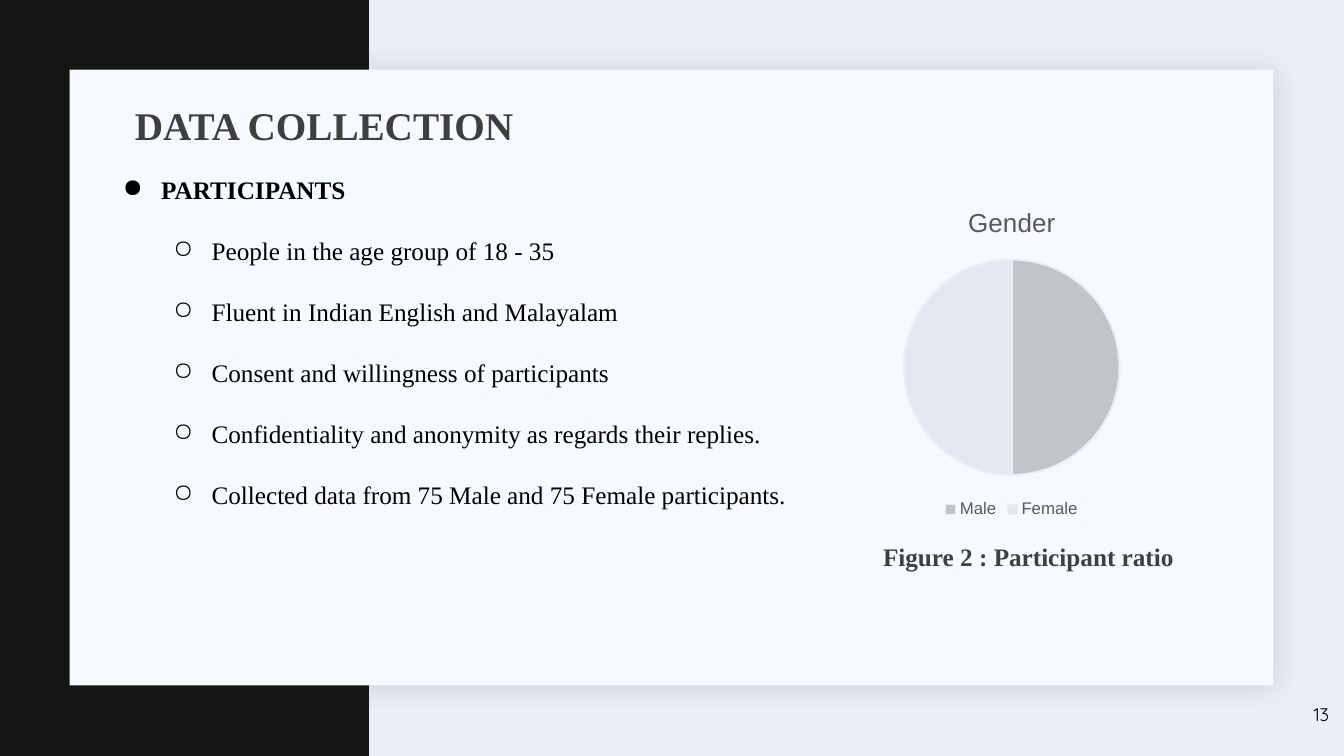
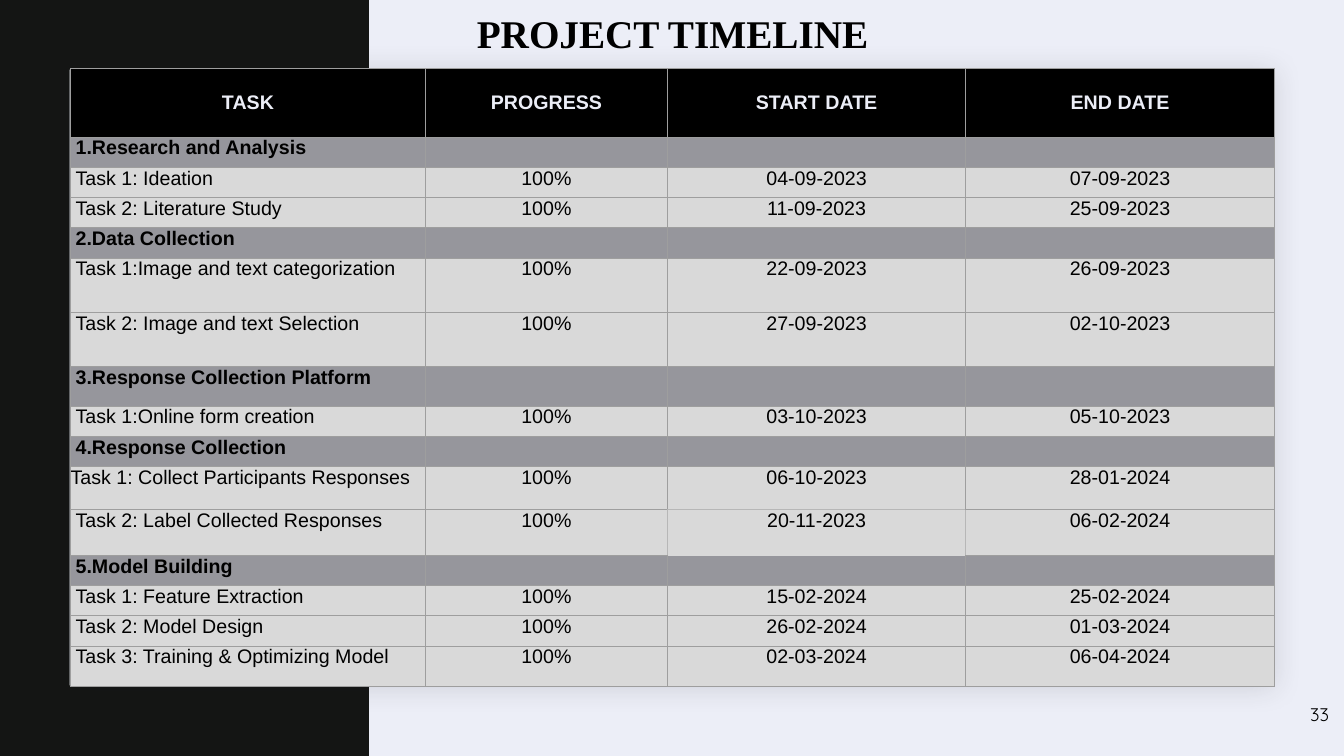
import pptx
import pptx.chart.data
import pptx.dml.color
import pptx.enum.chart
import pptx.enum.shapes
import pptx.enum.text
import pptx.oxml
import pptx.oxml.ns
import pptx.util
from lxml import etree

Inches, Pt = pptx.util.Inches, pptx.util.Pt
ALIGN = pptx.enum.text.PP_ALIGN
ANCHOR = pptx.enum.text.MSO_ANCHOR
NS = pptx.oxml.ns.nsdecls("a")

# Shared look
SERIF, SANS, NUMBER_FONT = "Times New Roman", "Arial", "Quicksand"
BLACK, BAND, PAPER, CARD = "000000", "141514", "ECEEF7", "F6F9FF"
HEADING, CHART_TEXT = "3F3F3F", "595959"
SECTION_FILL, TASK_FILL, GRID = "96969C", "D9D9D9", "9E9E9E"

# Data collection content
TOPIC = "PARTICIPANTS"
POINTS = [
    "People in the age group of 18 - 35",
    "Fluent in Indian English and Malayalam",
    "Consent and willingness of participants",
    "Confidentiality and anonymity as regards their replies.",
    "Collected data from 75 Male and 75 Female participants.",
]
GENDER = [("Male", 50, "C1C4C9"), ("Female", 50, "E5E8EF")]

# Timeline content: row height and cells; a single cell opens a section
COLUMN_WIDTHS = [3.52, 2.4, 2.96, 3.06]
HEADER = ["TASK", "PROGRESS", "START DATE", "END DATE"]
TIMELINE = [
    (0.3, ["1.Research and Analysis"]),
    (0.3, ["Task 1: Ideation", "100%", "04-09-2023", "07-09-2023"]),
    (0.3, ["Task 2: Literature Study", "100%", "11-09-2023", "25-09-2023"]),
    (0.3, ["2.Data Collection"]),
    (0.54, ["Task 1:Image and text categorization", "100%", "22-09-2023", "26-09-2023"]),
    (0.54, ["Task 2: Image and text Selection", "100%", "27-09-2023", "02-10-2023"]),
    (0.39, ["3.Response Collection Platform"]),
    (0.3, ["Task 1:Online form creation", "100%", "03-10-2023", "05-10-2023"]),
    (0.3, ["4.Response Collection"]),
    (0.43, ["Task 1: Collect Participants Responses", "100%", "06-10-2023", "28-01-2024"]),
    (0.45, ["Task 2: Label Collected Responses", "100%", "20-11-2023", "06-02-2024"]),
    (0.3, ["5.Model Building"]),
    (0.3, ["Task 1: Feature Extraction", "100%", "15-02-2024", "25-02-2024"]),
    (0.3, ["Task 2: Model Design", "100%", "26-02-2024", "01-03-2024"]),
    (0.4, ["Task 3: Training & Optimizing Model", "100%", "02-03-2024", "06-04-2024"]),
]
FLUSH_TASK = "Task 1: Collect Participants Responses"
# Lighter edges by (row, column)
LIGHT_EDGES = {
    (10, 2): {"B": "B7B7B7"},
    (11, 1): {"R": "B7B7B7"},
    (11, 2): {"L": "B7B7B7", "R": "B7B7B7", "T": "B7B7B7", "B": "D9D9D9"},
    (11, 3): {"L": "B7B7B7"},
    (12, 2): {"T": "D9D9D9"},
}


def rgb(color):
    return pptx.dml.color.RGBColor.from_string(color)


def style(font, size, color, name, bold=False):
    font.size, font.name, font.bold = Pt(size), name, bold
    font.color.rgb = rgb(color)


def add_panel(slide, left, top, width, height, color):
    panel = slide.shapes.add_shape(
        pptx.enum.shapes.MSO_SHAPE.RECTANGLE,
        Inches(left), Inches(top), Inches(width), Inches(height))
    panel.fill.solid()
    panel.fill.fore_color.rgb = rgb(color)
    panel.line.fill.background()
    panel.shadow.inherit = False
    return panel


def add_frame(slide, left, top, width, height):
    frame = slide.shapes.add_textbox(
        Inches(left), Inches(top), Inches(width), Inches(height)).text_frame
    frame.word_wrap = True
    return frame


def add_line(slide, box, text, size, color, name, bold=False, align=ALIGN.LEFT):
    frame = add_frame(slide, *box)
    line = frame.paragraphs[0]
    line.text, line.alignment = text, align
    style(line.font, size, color, name, bold)
    return frame


def add_title(slide, box, text, color, align):
    title = add_line(slide, box, text, 28, color, SERIF, True, align)
    title.vertical_anchor = ANCHOR.MIDDLE
    title.paragraphs[0].line_spacing = 0.9


def new_slide(deck, number):
    slide = deck.slides.add_slide(deck.slide_layouts[6])
    slide.background.fill.solid()
    slide.background.fill.fore_color.rgb = rgb(PAPER)
    add_panel(slide, 0, 0, 3.66, 7.5, BAND)
    card = add_panel(slide, 0.69, 0.69, 11.94, 6.11, CARD)
    effects = card.fill._xPr.find(pptx.oxml.ns.qn("a:effectLst"))
    effects.append(pptx.oxml.parse_xml(
        f'<a:outerShdw {NS} blurRad="{Pt(20)}" dist="{Pt(2)}" dir="2700000" algn="ctr"'
        ' rotWithShape="0"><a:srgbClr val="1F2125"><a:alpha val="15000"/></a:srgbClr>'
        '</a:outerShdw>'))
    add_line(slide, (12.48, 6.93, 0.8, 0.57), str(number), 13, BLACK, NUMBER_FONT,
             align=ALIGN.RIGHT)
    return slide


def add_bullet(paragraph, text, mark, indent, bold):
    paragraph.text = text
    style(paragraph.font, 18, BLACK, SERIF, bold)
    properties = paragraph._p.get_or_add_pPr()
    properties.set("marL", str(Inches(indent)))
    properties.set("indent", str(Inches(-0.38)))
    color = pptx.oxml.parse_xml(
        f'<a:buClr {NS}><a:srgbClr val="{BLACK}"/></a:buClr>')
    bullet = pptx.oxml.parse_xml(f'<a:buChar {NS} char="{mark}"/>')
    font = properties.find(pptx.oxml.ns.qn("a:defRPr"))
    font.addprevious(color)
    font.addprevious(bullet)


def add_gender_chart(slide):
    data = pptx.chart.data.CategoryChartData()
    data.categories = [label for label, _, _ in GENDER]
    data.add_series("Gender", [share for _, share, _ in GENDER])
    chart = slide.shapes.add_chart(
        pptx.enum.chart.XL_CHART_TYPE.PIE,
        Inches(7.49), Inches(1.87), Inches(5.09), Inches(3.31), data).chart
    style(chart.font, 10, BLACK, SANS)
    chart.has_title = True
    heading = chart.chart_title.text_frame.paragraphs[0]
    heading.text = "Gender"
    style(heading.font, 18.6, CHART_TEXT, SANS)
    chart.has_legend = True
    chart.legend.position = pptx.enum.chart.XL_LEGEND_POSITION.BOTTOM
    chart.legend.include_in_layout = False
    style(chart.legend.font, 12, CHART_TEXT, SANS)
    pie = chart.plots[0]
    pie.vary_by_categories = True
    for index, (_, _, color) in enumerate(GENDER):
        wedge = pie.series[0].points[index].format
        wedge.fill.solid()
        wedge.fill.fore_color.rgb = rgb(color)
        wedge.line.color.rgb = rgb(PAPER)
        wedge.line.width = Pt(1.5)


def set_borders(cell, edges):
    properties = cell._tc.get_or_add_tcPr()
    for place, side in enumerate("LRTB"):
        properties.insert(place, pptx.oxml.parse_xml(
            f'<a:ln{side} {NS} w="{Pt(0.75)}"><a:solidFill>'
            f'<a:srgbClr val="{edges.get(side, GRID)}"/></a:solidFill></a:ln{side}>'))


def fill_cell(cell, text, fill, color, bold, align, anchor, indent):
    cell.margin_left = Inches(indent)
    cell.margin_right = cell.margin_top = cell.margin_bottom = 0
    cell.vertical_anchor = anchor
    cell.fill.solid()
    cell.fill.fore_color.rgb = rgb(fill)
    line = cell.text_frame.paragraphs[0]
    line.text, line.alignment = text, align
    style(line.font, 14, color, SANS, bold)


def add_timeline(slide):
    rows = [(0.68, HEADER)] + TIMELINE
    table_frame = slide.shapes.add_table(
        len(rows), len(HEADER), Inches(0.7), Inches(0.68),
        Inches(sum(COLUMN_WIDTHS)), Inches(sum(height for height, _ in rows)))
    table = table_frame.table
    for column, width in zip(table.columns, COLUMN_WIDTHS):
        column.width = Inches(width)
    for r, (height, texts) in enumerate(rows):
        table.rows[r].height = Inches(height)
        is_header, is_section = r == 0, len(texts) == 1
        fill = BLACK if is_header else SECTION_FILL if is_section else TASK_FILL
        for c in range(len(HEADER)):
            text = texts[c] if c < len(texts) else ""
            is_label = c == 0 and not is_header
            cell = table.cell(r, c)
            fill_cell(cell, text, fill, PAPER if is_header else BLACK,
                      is_header or is_section,
                      ALIGN.LEFT if is_label else ALIGN.CENTER,
                      ANCHOR.MIDDLE if is_header else ANCHOR.TOP,
                      0.05 if is_label and text != FLUSH_TASK else 0)
            set_borders(cell, LIGHT_EDGES.get((r, c), {}))


def build_data_collection(deck):
    slide = new_slide(deck, 13)
    add_title(slide, (1.24, 0.77, 11, 0.99), "DATA COLLECTION", HEADING, ALIGN.LEFT)
    points = add_frame(slide, 1, 1.68, 7.68, 5.1)
    add_bullet(points.paragraphs[0], TOPIC, "●", 0.5, True)
    for text in POINTS:
        point = points.add_paragraph()
        point.level = 1
        point.space_before = Pt(22)
        add_bullet(point, text, "○", 1, False)
    add_gender_chart(slide)
    add_line(slide, (7.2, 5.32, 6, 0.71), "Figure 2 : Participant ratio", 18, HEADING,
             SERIF, True, ALIGN.CENTER)


def build_timeline(deck):
    slide = new_slide(deck, 33)
    add_title(slide, (1.17, 0, 11, 0.71), "PROJECT TIMELINE", BLACK, ALIGN.CENTER)
    add_timeline(slide)


def main():
    deck = pptx.Presentation()
    deck.slide_width, deck.slide_height = Inches(13.33), Inches(7.5)
    build_data_collection(deck)
    build_timeline(deck)
    deck.save("out.pptx")


if __name__ == "__main__":
    main()
